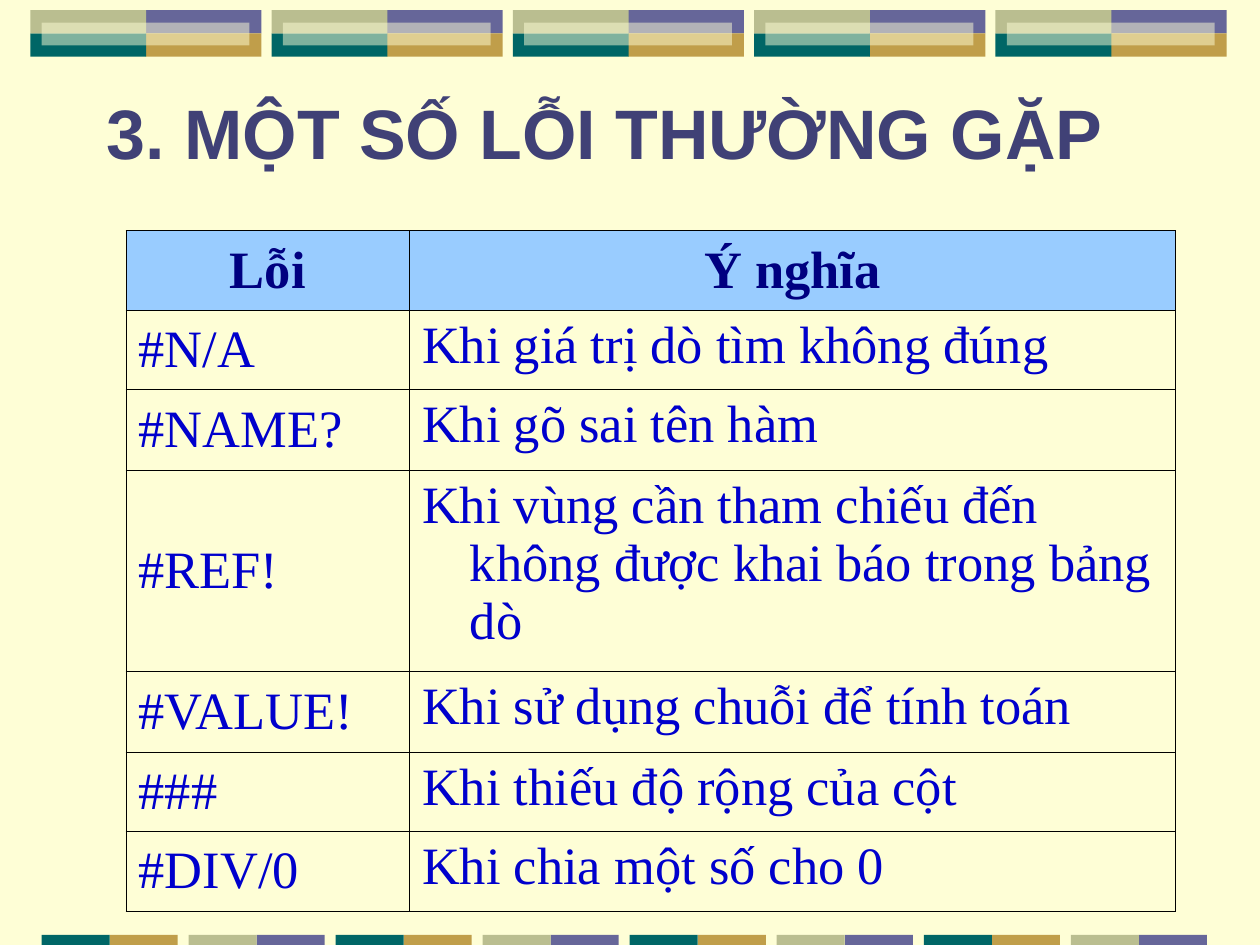
import pptx
import pptx.dml.color
import pptx.enum.shapes
import pptx.enum.text
import pptx.oxml
import pptx.oxml.ns
import pptx.util
from lxml import etree

Inches = pptx.util.Inches
Pt = pptx.util.Pt
qn = pptx.oxml.ns.qn
MIDDLE = pptx.enum.text.MSO_ANCHOR.MIDDLE
TOP = pptx.enum.text.MSO_ANCHOR.TOP
LEFT = pptx.enum.text.PP_ALIGN.LEFT
CENTER = pptx.enum.text.PP_ALIGN.CENTER

COLORS = {
    "cream": "FEFED6", "violet": "666699", "gold": "C09E4A",
    "teal": "006666", "olive": "BABE90", "title": "404176",
    "header_fill": "99CCFF", "header_text": "000080",
    "body_text": "0000CC", "border": "000000",
}

ERRORS = [
    ("Lỗi", "Ý nghĩa"),
    ("#N/A", "Khi giá trị dò tìm không đúng"),
    ("#NAME?", "Khi gõ sai tên hàm"),
    ("#REF!", "Khi vùng cần tham chiếu đến không được khai báo trong bảng dò"),
    ("#VALUE!", "Khi sử dụng chuỗi để tính toán"),
    ("###", "Khi thiếu độ rộng của cột"),
    ("#DIV/0", "Khi chia một số cho 0"),
]
COLUMN_WIDTHS = [2.25, 6.08]
ROW_HEIGHTS = [0.63, 0.63, 0.64, 1.6, 0.64, 0.63, 0.63]


class SlideBuilder:
    """Holds the style and the current slide, and draws each kind of element."""

    def __init__(self, slide, colors):
        self.slide = slide
        self.colors = colors

    def rgb(self, color):
        return pptx.dml.color.RGBColor.from_string(self.colors[color])

    def background(self, color):
        fill = self.slide.background.fill
        fill.solid()
        fill.fore_color.rgb = self.rgb(color)

    def block(self, left, top, width, height, color, opacity=100):
        block = self.slide.shapes.add_shape(
            pptx.enum.shapes.MSO_SHAPE.RECTANGLE,
            Inches(left), Inches(top), Inches(width), Inches(height))
        block.shadow.inherit = False
        block.line.fill.background()
        block.fill.solid()
        block.fill.fore_color.rgb = self.rgb(color)
        if opacity < 100:
            tint = block.fill._xPr.find(".//" + qn("a:srgbClr"))
            etree.SubElement(tint, qn("a:alpha"), val=str(opacity * 1000))

    def style(self, paragraph, font, size, color, bold):
        paragraph.font.name = font
        paragraph.font.size = Pt(size)
        paragraph.font.bold = bold
        paragraph.font.color.rgb = self.rgb(color)

    def title(self, text, left, top, width, height):
        frame = self.slide.shapes.add_textbox(
            Inches(left), Inches(top), Inches(width), Inches(height)).text_frame
        frame.word_wrap = True
        frame.vertical_anchor = MIDDLE
        frame.text = text
        self.style(frame.paragraphs[0], "Arial", 40, "title", True)

    def border(self, cell):
        properties = cell._tc.get_or_add_tcPr()
        for position, side in enumerate(("lnL", "lnR", "lnT", "lnB")):
            properties.insert(position, pptx.oxml.parse_xml(
                f'<a:{side} {pptx.oxml.ns.nsdecls("a")} w="{Pt(0.45)}"><a:solidFill>'
                f'<a:srgbClr val="{self.colors["border"]}"/></a:solidFill></a:{side}>'))

    def cell(self, cell, text, is_header, is_code):
        cell.text = text
        cell.vertical_anchor = MIDDLE if is_header or is_code else TOP
        if is_header:
            cell.fill.solid()
            cell.fill.fore_color.rgb = self.rgb("header_fill")
        else:
            cell.fill.background()
        self.border(cell)
        paragraph = cell.text_frame.paragraphs[0]
        paragraph.alignment = CENTER if is_header else LEFT
        hanging = paragraph._p.get_or_add_pPr()
        hanging.set("marL", str(Inches(0.38)))
        hanging.set("indent", str(-Inches(0.38)))
        self.style(paragraph, "Times New Roman", 30,
                   "header_text" if is_header else "body_text", is_header)

    def table(self, rows, left, top, widths, heights):
        table = self.slide.shapes.add_table(
            len(rows), len(widths), Inches(left), Inches(top),
            Inches(sum(widths)), Inches(sum(heights))).table
        table.horz_banding = False
        for column, width in zip(table.columns, widths):
            column.width = Inches(width)
        for r, (texts, height) in enumerate(zip(rows, heights)):
            table.rows[r].height = Inches(height)
            for c, text in enumerate(texts):
                self.cell(table.cell(r, c), text, r == 0, c == 0)


def main():
    deck = pptx.Presentation()
    deck.slide_width, deck.slide_height = Inches(10), Inches(7.5)
    builder = SlideBuilder(deck.slides.add_slide(deck.slide_layouts[6]), COLORS)
    builder.background("cream")

    for tile in range(5):
        left = 0.24 + tile * 1.915
        for column, row, color in ((1, 0, "violet"), (1, 1, "gold"),
                                   (0, 1, "teal"), (0, 0, "olive")):
            builder.block(left + column * 0.915, 0.08 + row * 0.185, 0.92, 0.185, color)
        builder.block(left + 0.09, 0.18, 1.65, 0.18, "cream", opacity=50)

    for strip in range(8):
        left = 0.33 + strip * 1.167
        near, far = (("teal", "gold"), ("olive", "violet"))[strip % 2]
        builder.block(left + 0.54, 7.42, 0.54, 0.08, far)
        builder.block(left, 7.42, 0.54, 0.08, near)

    builder.title("3. MỘT SỐ LỖI THƯỜNG GẶP", 0.75, 0.42, 9.08, 1.25)
    builder.table(ERRORS, 1, 1.83, COLUMN_WIDTHS, ROW_HEIGHTS)
    deck.save("out.pptx")


if __name__ == "__main__":
    main()
